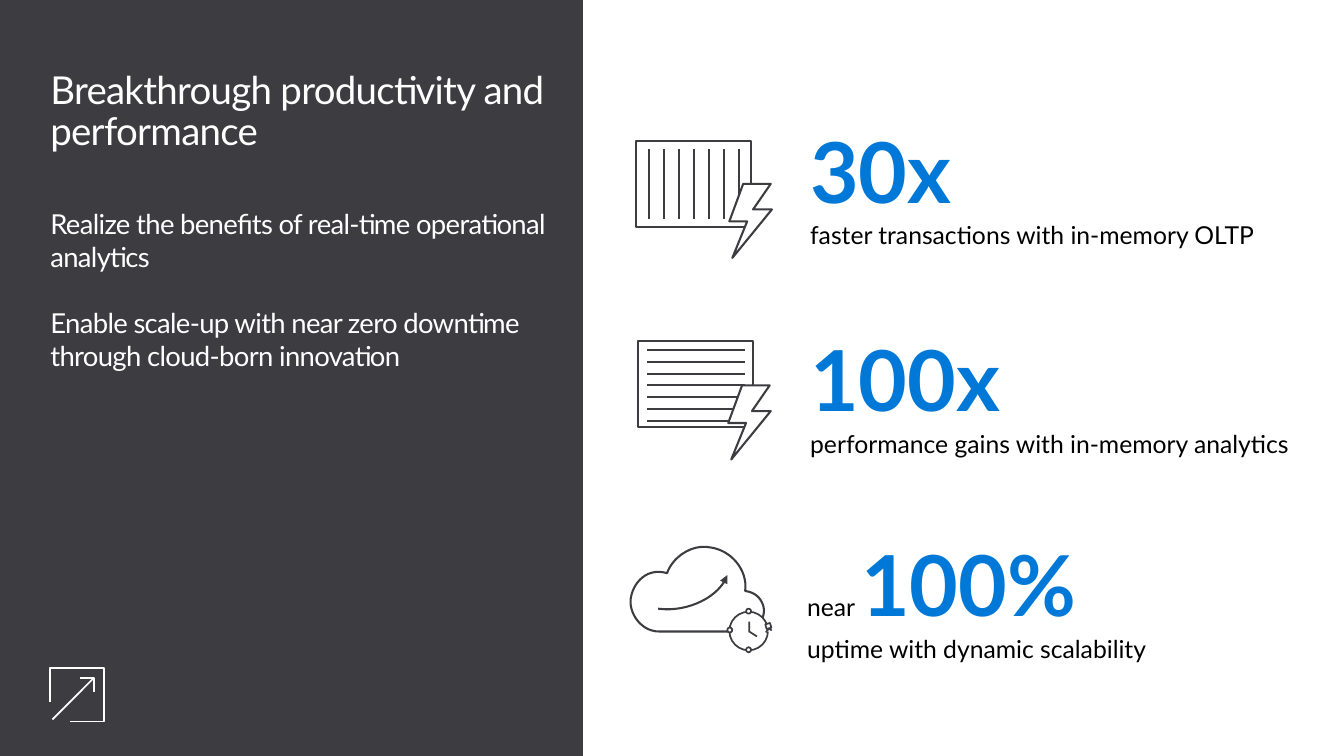
import pptx
import pptx.dml.color
import pptx.enum.shapes
import pptx.enum.text
import pptx.oxml.ns
import pptx.util
from lxml import etree

Pt = pptx.util.Pt
RGBColor = pptx.dml.color.RGBColor
SHAPE = pptx.enum.shapes.MSO_SHAPE
qn = pptx.oxml.ns.qn

CHARCOAL = RGBColor(0x3C, 0x3C, 0x41)
BLUE = RGBColor(0x00, 0x78, 0xD7)
WHITE = RGBColor(0xFF, 0xFF, 0xFF)
BLACK = RGBColor(0x00, 0x00, 0x00)

FONT = "Lato"
BIG, SMALL = 61.2, 18
ICON_LINE, THIN_LINE = 1.5, 1.25
CURVE_STEPS = 16


def bezier(start, control_1, control_2, end):
    """Points along a cubic curve, without its start."""
    points = []
    for step in range(1, CURVE_STEPS + 1):
        t = step / CURVE_STEPS
        weights = ((1 - t) ** 3, 3 * t * (1 - t) ** 2, 3 * t * t * (1 - t), t ** 3)
        corners = (start, control_1, control_2, end)
        points.append(tuple(sum(w * c[axis] for w, c in zip(weights, corners))
                            for axis in (0, 1)))
    return points


def outline(start, *segments):
    """Join end points (lines) and triples of points (curves) into one outline."""
    points = [start]
    for segment in segments:
        curved = isinstance(segment[0], tuple)
        points += bezier(points[-1], *segment) if curved else [segment]
    return points


class SlideBuilder:
    def __init__(self, presentation):
        self.slide = presentation.slides.add_slide(presentation.slide_layouts[1])
        self.shapes = self.slide.shapes

    def start_group(self):
        self.shapes = self.slide.shapes.add_group_shape().shapes

    def style_line(self, line, color, width):
        line.color.rgb = color
        line.width = Pt(width)

    def style_shape(self, shape, fill, color, width):
        shape.shadow.inherit = False
        if fill is None:
            shape.fill.background()
        else:
            shape.fill.solid()
            shape.fill.fore_color.rgb = fill
        self.style_line(shape.line, color, width)

    def panel(self, width, height):
        shape = self.slide.shapes.add_shape(SHAPE.RECTANGLE, 0, 0, Pt(width), Pt(height))
        self.style_shape(shape, CHARCOAL, CHARCOAL, 0)
        shape.line.fill.background()
        self.slide.shapes._spTree.insert(2, shape._element)

    def placeholder(self, shape, box, lines, size, line_spacing=1.0):
        shape.left, shape.top, shape.width, shape.height = map(Pt, box)
        frame = shape.text_frame
        frame.text = "\n".join(lines)
        frame.word_wrap = True
        frame.auto_size = pptx.enum.text.MSO_AUTO_SIZE.NONE
        frame.vertical_anchor = pptx.enum.text.MSO_ANCHOR.TOP
        frame.margin_left, frame.margin_right = 0, Pt(11.5)
        frame.margin_top = frame.margin_bottom = Pt(7.2)
        for index, paragraph in enumerate(frame.paragraphs):
            properties = paragraph._p.get_or_add_pPr()
            properties.set("marL", "0")
            properties.set("indent", "0")
            etree.SubElement(properties, qn("a:buNone"))
            paragraph.alignment = pptx.enum.text.PP_ALIGN.LEFT
            paragraph.line_spacing = line_spacing
            paragraph.space_before = Pt(18 if index else 0)
            paragraph.space_after = Pt(6 if len(lines) > 1 else 0)
            for run in paragraph.runs:
                self.style_run(run, size, WHITE)
                run._r.get_or_add_rPr().set("spc", "-50")

    def style_run(self, run, size, color, bold=False):
        run.font.name = FONT
        run.font.size = Pt(size)
        run.font.bold = bold
        run.font.color.rgb = color

    def statistic(self, left, top, width, figure, caption, lead=""):
        box = self.slide.shapes.add_textbox(Pt(left), Pt(top), Pt(width), Pt(103))
        frame = box.text_frame
        frame.word_wrap = True
        paragraph = frame.paragraphs[0]
        if lead:
            run = paragraph.add_run()
            run.text = lead
            self.style_run(run, SMALL, BLACK)
        run = paragraph.add_run()
        run.text = figure
        self.style_run(run, BIG, BLUE, bold=True)
        if lead:
            paragraph = frame.add_paragraph()
        else:
            paragraph.add_line_break()
        run = paragraph.add_run()
        run.text = caption
        self.style_run(run, SMALL, BLACK)

    def shape(self, kind, left, top, width, height, line_width, rotation=0):
        shape = self.shapes.add_shape(kind, Pt(left), Pt(top), Pt(width), Pt(height))
        shape.rotation = rotation
        self.style_shape(shape, WHITE, CHARCOAL, line_width)

    def line(self, start, end, color=CHARCOAL, width=ICON_LINE):
        connector = self.shapes.add_connector(
            pptx.enum.shapes.MSO_CONNECTOR.STRAIGHT, *map(Pt, start + end))
        self.style_line(connector.line, color, width)
        etree.SubElement(connector._element.spPr, qn("a:effectLst"))

    def freeform(self, points, fill=None, color=CHARCOAL, width=ICON_LINE,
                 closed=False, arrow=False):
        points = [(Pt(x), Pt(y)) for x, y in points]
        builder = self.shapes.build_freeform(*points[0])
        builder.add_line_segments(points[1:], close=closed)
        shape = builder.convert_to_shape()
        self.style_shape(shape, fill, color, width)
        if arrow:
            etree.SubElement(shape.line._get_or_add_ln(), qn("a:tailEnd"), type="triangle")

    def bolt(self, left, top):
        corners = [(30.2, 0), (10.1, 0), (0, 27.4), (13, 27.4),
                   (2.2, 54), (31, 18.7), (17.3, 18.7)]
        self.freeform([(left + x, top + y) for x, y in corners], WHITE, closed=True)


def main():
    presentation = pptx.Presentation()
    presentation.slide_width, presentation.slide_height = Pt(979.2), Pt(550.8)
    builder = SlideBuilder(presentation)

    # Left panel with title and list
    builder.panel(424.8, 550.8)
    title, body = builder.slide.placeholders
    builder.placeholder(title, (36.7, 44.6, 376.6, 65.5),
                        ["Breakthrough productivity and performance"], 28, 0.9)
    builder.placeholder(body, (36.7, 144, 376.6, 136.8), [
        "Realize the benefits of real-time operational analytics",
        "Enable scale-up with near zero downtime through cloud-born innovation"], 20)

    # Statistics
    builder.statistic(583.2, 83.5, 383, "30x", "faster transactions with in-memory OLTP")
    builder.statistic(583.2, 235.4, 386.6, "100x",
                      "performance gains with in-memory analytics")
    builder.statistic(581, 384.5, 385.2, "100%", "uptime with dynamic scalability", "near ")

    # Transactions icon: columns and bolt
    builder.start_group()
    builder.shape(SHAPE.RECTANGLE, 463.7, 103, 83.5, 62.6, ICON_LINE)
    for column in range(7):
        x = 473 + 10.92 * column
        builder.line((x, 108.7), (x, 159.8))
    builder.bolt(531.4, 133.9)

    # Analytics icon: rows and bolt
    builder.start_group()
    builder.shape(SHAPE.RECTANGLE, 465.1, 248.4, 83.5, 62.6, ICON_LINE)
    for row in range(7):
        y = 254.9 + 8.64 * row
        builder.line((471.6, y), (542.9, y))
    builder.bolt(530.6, 280.8)

    # Uptime icon: cloud with rising arrow
    builder.start_group()
    builder.freeform(outline(
        (517.7, 398.9),
        ((532.8, 401), (545, 415.4), (542.9, 430.6)),
        ((553.7, 432), (556.6, 440.6), (556.6, 445)),
        ((556.6, 450.7), (551.5, 460.1), (542.2, 460.1)),
        (480.2, 460.1),
        ((468, 460.1), (459.4, 448.6), (459.4, 438.5)),
        ((459.4, 428.4), (468.7, 412.6), (486, 417.6)),
        ((489.6, 406.8), (503.3, 396), (517.7, 398.9))), closed=True)
    builder.freeform(outline((479.5, 443.5), ((501.8, 446.4), (524.9, 434.2), (529.9, 419))),
                     arrow=True)

    # Uptime icon: clock
    builder.start_group()
    builder.shape(SHAPE.OVAL, 531.4, 445.7, 28.1, 28.1, THIN_LINE)
    builder.shape(SHAPE.RECTANGLE, 558, 454.3, 3.6, 3.6, THIN_LINE, rotation=344)
    builder.freeform([(558, 460.8), (560.2, 457.9), (562.3, 459.4)], WHITE, width=THIN_LINE)
    for left, top in ((543.6, 443.5), (529.9, 457.2), (543.6, 471.6)):
        builder.shape(SHAPE.OVAL, left, top, 3.6, 3.6, THIN_LINE)
    builder.freeform([(545.8, 452.9), (545.8, 460.1), (551.5, 463.7)], width=THIN_LINE)

    # Framed arrow at the foot of the panel
    builder.start_group()
    builder.freeform([(36.7, 511.2), (36.7, 486.7), (75.6, 486.7), (75.6, 525.6),
                      (51.1, 525.6)], color=WHITE, width=THIN_LINE)
    builder.freeform([(58.3, 493.9), (68.4, 493.9), (68.4, 504)],
                     color=WHITE, width=THIN_LINE)
    builder.line((38.2, 524.2), (68.4, 493.9), WHITE, THIN_LINE)

    presentation.save("out.pptx")


if __name__ == "__main__":
    main()
